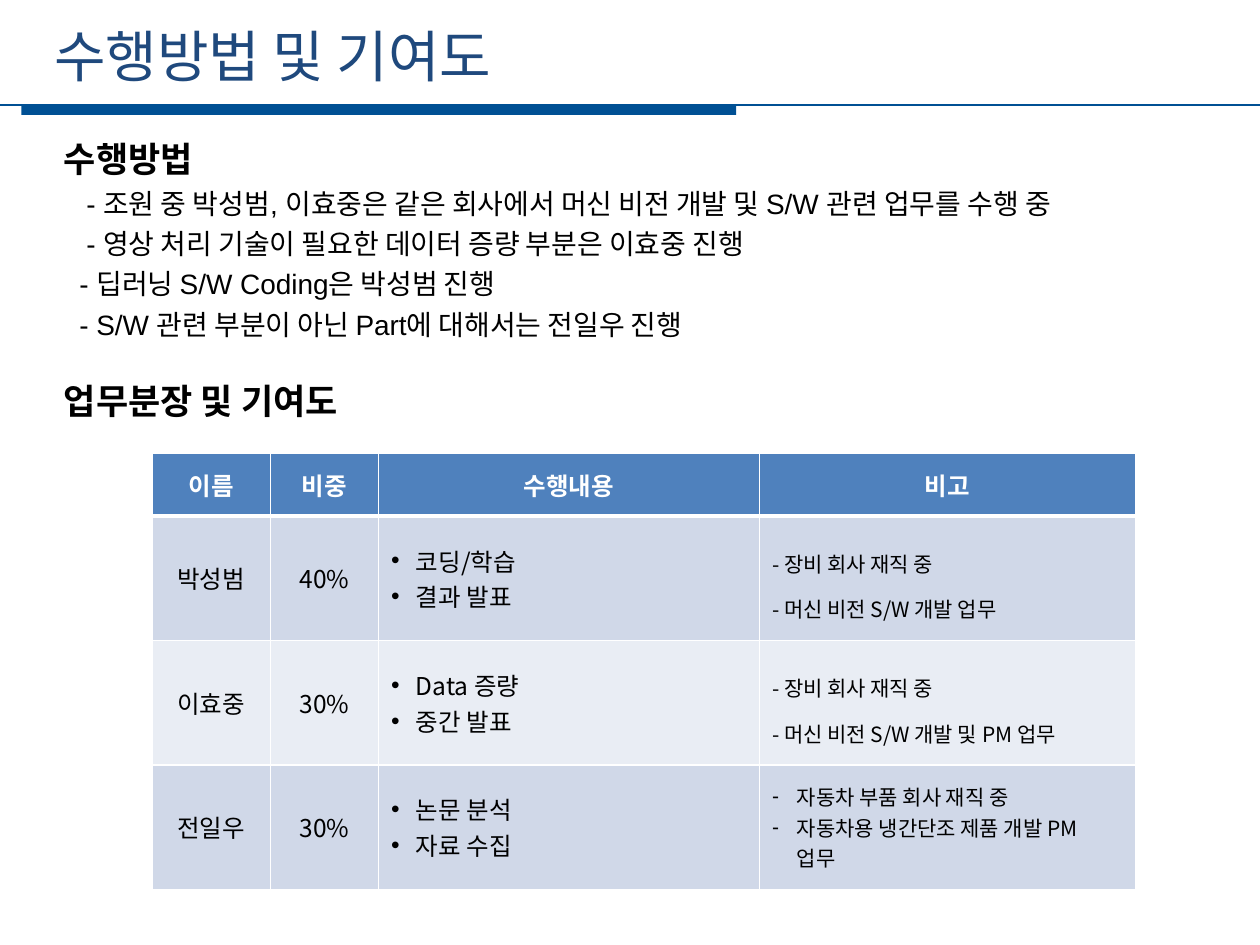
from dataclasses import dataclass

import pptx
import pptx.dml.color
import pptx.enum.shapes
import pptx.enum.text
import pptx.oxml
import pptx.oxml.ns
import pptx.util
from pptx.util import Cm, Pt

COLORS = {
    "title": "1F497D",
    "bar": "005094",
    "black": "000000",
    "white": "FFFFFF",
    "header": "4F81BD",
    "odd": "D0D8E8",
    "even": "E9EDF4",
}
KOREAN = "Noto Sans CJK KR"
LATIN = "Arial"
NAMESPACE = pptx.oxml.ns.nsdecls("a")


@dataclass
class Line:
    text: str
    size: float = 16
    bold: bool = False
    indent: float = 0
    before: float = 0


@dataclass
class Member:
    name: str
    share: str
    tasks: list[str]
    notes: list[str]
    note_bullet: str = ""
    note_spacing: float = 1.5


BODY = [
    Line("수행방법", 20, True),
    Line("- 조원 중 박성범, 이효중은 같은 회사에서 머신 비전 개발 및 S/W 관련 업무를 수행 중", indent=0.45),
    Line("- 영상 처리 기술이 필요한 데이터 증량 부분은 이효중 진행", indent=0.45),
    Line("- 딥러닝 S/W Coding은 박성범 진행", indent=0.31),
    Line("- S/W 관련 부분이 아닌 Part에 대해서는 전일우 진행", indent=0.31),
    Line("업무분장 및 기여도", 20, True, before=23),
]
HEADINGS = ["이름", "비중", "수행내용", "비고"]
MEMBERS = [
    Member("박성범", "40%", ["코딩/학습", "결과 발표"],
           ["- 장비 회사 재직 중", "- 머신 비전 S/W 개발 업무"]),
    Member("이효중", "30%", ["Data 증량", "중간 발표"],
           ["- 장비 회사 재직 중", "- 머신 비전 S/W 개발 및 PM 업무"]),
    Member("전일우", "30%", ["논문 분석", "자료 수집"],
           ["자동차 부품 회사 재직 중", "자동차용 냉간단조 제품 개발 PM\v업무"], "-", 1.0),
]
COLUMN_WIDTHS = [2.39, 2.18, 7.68, 7.58]
ROW_HEIGHTS = [1.27, 2.51, 2.51, 2.51]


def rgb(color: str) -> pptx.dml.color.RGBColor:
    return pptx.dml.color.RGBColor.from_string(COLORS[color])


def format_runs(paragraph, size: float, color: str, bold: bool = False, latin: str = KOREAN) -> None:
    for run in paragraph.runs:
        run.font.size = Pt(size)
        run.font.bold = bold
        run.font.color.rgb = rgb(color)
        run.font.name = latin
        run.font._element.find(pptx.oxml.ns.qn("a:latin")).addnext(
            pptx.oxml.parse_xml(f'<a:ea {NAMESPACE} typeface="{KOREAN}"/>'))


def set_indent(paragraph, left: float, first: float = 0, bullet: str = "") -> None:
    properties = paragraph._p.get_or_add_pPr()
    properties.set("marL", str(Cm(left)))
    properties.set("indent", str(Cm(first)))
    if bullet:
        properties.append(pptx.oxml.parse_xml(f'<a:buFont {NAMESPACE} typeface="{LATIN}"/>'))
        properties.append(pptx.oxml.parse_xml(f'<a:buChar {NAMESPACE} char="{bullet}"/>'))


def add_text(slide, left: float, top: float, width: float, height: float):
    shape = slide.shapes.add_textbox(Cm(left), Cm(top), Cm(width), Cm(height))
    shape.text_frame.word_wrap = True
    return shape.text_frame


def add_title(slide) -> None:
    bar = slide.shapes.add_shape(pptx.enum.shapes.MSO_SHAPE.RECTANGLE,
                                 Cm(0.43), Cm(2.11), Cm(14.41), Cm(0.21))
    bar.shadow.inherit = False
    bar.fill.solid()
    bar.fill.fore_color.rgb = rgb("bar")
    bar.line.fill.background()
    rule = slide.shapes.add_connector(pptx.enum.shapes.MSO_CONNECTOR.STRAIGHT,
                                      Cm(0), Cm(2.11), Cm(25.4), Cm(2.11))
    rule.line.color.rgb = rgb("bar")
    rule.line.width = Pt(1.25)
    rule._element.spPr.append(pptx.oxml.parse_xml(f"<a:effectLst {NAMESPACE}/>"))
    text_frame = add_text(slide, 0.84, 0.3, 22.76, 1.63)
    text_frame.text = "수행방법 및 기여도"
    format_runs(text_frame.paragraphs[0], 32, "title")


def add_body(slide) -> None:
    text_frame = add_text(slide, 1.04, 2.69, 23.16, 5.99)
    text_frame.text = "\n".join(line.text for line in BODY)
    for paragraph, line in zip(text_frame.paragraphs, BODY):
        paragraph.line_spacing = Pt(23)
        paragraph.space_before = Pt(line.before)
        set_indent(paragraph, line.indent)
        format_runs(paragraph, line.size, "black", line.bold, LATIN)


def style_cell(cell, fill: str, top: float = 1, bottom: float = 1) -> None:
    properties = cell._tc.get_or_add_tcPr()
    for side, width in (("L", 1), ("R", 1), ("T", top), ("B", bottom)):
        properties.append(pptx.oxml.parse_xml(
            f'<a:ln{side} {NAMESPACE} w="{Pt(width)}"><a:solidFill>'
            f'<a:srgbClr val="{COLORS["white"]}"/></a:solidFill></a:ln{side}>'))
    cell.fill.solid()
    cell.fill.fore_color.rgb = rgb(fill)
    cell.vertical_anchor = pptx.enum.text.MSO_ANCHOR.MIDDLE


def fill_centered(cell, text: str, color: str, bold: bool = False) -> None:
    cell.text_frame.text = text
    paragraph = cell.text_frame.paragraphs[0]
    paragraph.alignment = pptx.enum.text.PP_ALIGN.CENTER
    format_runs(paragraph, 14, color, bold)


def fill_list(cell, items: list[str], size: float, bullet: str, spacing: float = 1.0) -> None:
    cell.text_frame.text = "\n".join(items)
    for paragraph in cell.text_frame.paragraphs:
        paragraph.line_spacing = spacing
        if bullet:
            set_indent(paragraph, 0.5, -0.5, bullet)
        format_runs(paragraph, size, "black")


def add_member_table(slide) -> None:
    table = slide.shapes.add_table(len(MEMBERS) + 1, len(HEADINGS), Cm(3.06), Cm(9.13),
                                   Cm(sum(COLUMN_WIDTHS)), Cm(sum(ROW_HEIGHTS))).table
    for column, width in zip(table.columns, COLUMN_WIDTHS):
        column.width = Cm(width)
    for row, height in zip(table.rows, ROW_HEIGHTS):
        row.height = Cm(height)
    for column_index, heading in enumerate(HEADINGS):
        cell = table.cell(0, column_index)
        style_cell(cell, "header", bottom=3)
        fill_centered(cell, heading, "white", True)
    for row_index, member in enumerate(MEMBERS, 1):
        cells = list(table.rows[row_index].cells)
        for cell in cells:
            style_cell(cell, "odd" if row_index % 2 else "even", top=3 if row_index == 1 else 1)
        fill_centered(cells[0], member.name, "black")
        fill_centered(cells[1], member.share, "black")
        fill_list(cells[2], member.tasks, 14, "•")
        fill_list(cells[3], member.notes, 12, member.note_bullet, member.note_spacing)


presentation = pptx.Presentation()
presentation.slide_width = Cm(25.4)
presentation.slide_height = Cm(19.05)
slide = presentation.slides.add_slide(presentation.slide_layouts[6])
add_title(slide)
add_body(slide)
add_member_table(slide)
presentation.save("out.pptx")
